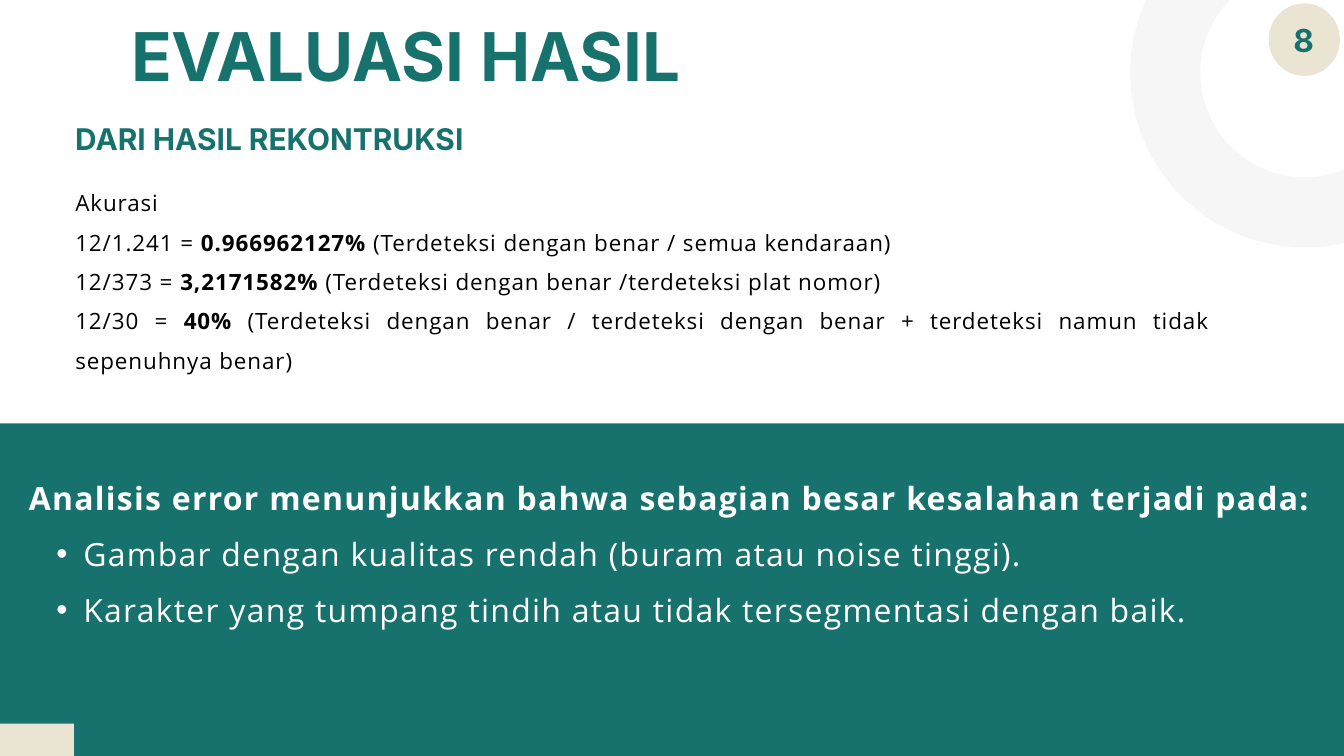
import pptx
import pptx.dml.color
import pptx.enum.shapes
import pptx.enum.text
import pptx.oxml.ns
import pptx.util
from lxml import etree

Inches = pptx.util.Inches
Pt = pptx.util.Pt
RGBColor = pptx.dml.color.RGBColor
MSO_SHAPE = pptx.enum.shapes.MSO_SHAPE
PP_ALIGN = pptx.enum.text.PP_ALIGN
MSO_ANCHOR = pptx.enum.text.MSO_ANCHOR

TEAL = RGBColor(0x17, 0x72, 0x6D)
CREAM = RGBColor(0xEA, 0xE4, 0xD2)
PALE_GREY = RGBColor(0xF6, 0xF6, 0xF6)
BLACK = RGBColor(0, 0, 0)
WHITE = RGBColor(0xFF, 0xFF, 0xFF)

HEADING_FONT = "Inter"
BODY_FONT = "Open Sans"

ACCURACY_LINES = [
    [("Akurasi", False)],
    [("12/1.241 = ", False), ("0.966962127%", True),
     (" (Terdeteksi dengan benar / semua kendaraan)", False)],
    [("12/373 = ", False), ("3,2171582% ", True),
     ("(Terdeteksi dengan benar /terdeteksi plat nomor)", False)],
    [("12/30 = ", False), ("40%", True),
     (" (Terdeteksi dengan benar / terdeteksi dengan benar + "
      "terdeteksi namun tidak sepenuhnya benar)", False)],
]
ERROR_LINES = [
    [("Analisis error menunjukkan bahwa sebagian besar kesalahan terjadi pada:", True)],
    [("Gambar dengan kualitas rendah (buram atau noise tinggi).", False)],
    [("Karakter yang tumpang tindih atau tidak tersegmentasi dengan baik.", False)],
]


def add_filled(slide, kind, left, top, width, height, color):
    filled = slide.shapes.add_shape(
        kind, Inches(left), Inches(top), Inches(width), Inches(height))
    filled.shadow.inherit = False
    filled.fill.solid()
    filled.fill.fore_color.rgb = color
    filled.line.fill.background()


def add_ring(slide, left, top, diameter, color, thickness):
    ring = slide.shapes.add_shape(
        MSO_SHAPE.OVAL, Inches(left), Inches(top), Inches(diameter), Inches(diameter))
    ring.shadow.inherit = False
    ring.fill.background()
    ring.line.color.rgb = color
    ring.line.width = Pt(thickness)


def add_text(slide, left, top, width, height, lines, font, size, color,
             line_height, align=PP_ALIGN.LEFT, spacing=0, anchor=MSO_ANCHOR.TOP):
    box = slide.shapes.add_textbox(
        Inches(left), Inches(top), Inches(width), Inches(height))
    frame = box.text_frame
    frame.word_wrap = True
    frame.vertical_anchor = anchor
    frame.margin_left = frame.margin_right = 0
    frame.margin_top = frame.margin_bottom = 0
    for index, line in enumerate(lines):
        paragraph = frame.paragraphs[0] if index == 0 else frame.add_paragraph()
        paragraph.alignment = align
        paragraph.line_spacing = Pt(line_height)
        for text, bold in line:
            run = paragraph.add_run()
            run.text = text
            run.font.name = font
            run.font.size = Pt(size)
            run.font.bold = bold
            run.font.color.rgb = color
            if spacing:
                run._r.get_or_add_rPr().set("spc", str(round(spacing * 100)))
    return frame


def add_bullet(paragraph, margin, hanging):
    paragraph.level = 1
    properties = paragraph._p.get_or_add_pPr()
    properties.set("marL", str(Inches(margin)))
    properties.set("indent", str(-Inches(hanging)))
    bullet_font = etree.SubElement(properties, pptx.oxml.ns.qn("a:buFont"))
    bullet_font.set("typeface", "Arial")
    bullet = etree.SubElement(properties, pptx.oxml.ns.qn("a:buChar"))
    bullet.set("char", "•")


def main():
    presentation = pptx.Presentation()
    presentation.slide_width = Inches(20)
    presentation.slide_height = Inches(11.25)
    slide = presentation.slides.add_slide(presentation.slide_layouts[6])

    add_filled(slide, MSO_SHAPE.RECTANGLE, -0.02, 6.3, 20.02, 4.95, TEAL)
    add_ring(slide, 17.34, -1, 4.16, PALE_GREY, 75)
    add_filled(slide, MSO_SHAPE.RECTANGLE, -0.02, 10.77, 1.12, 1.12, CREAM)

    add_text(slide, 1.95, 0.36, 16.06, 1.08, [[("EVALUASI HASIL", True)]],
             HEADING_FONT, 72, TEAL, 75.6)
    add_text(slide, 1.12, 2.63, 16.89, 2.96, ACCURACY_LINES,
             BODY_FONT, 24, BLACK, 42.2, PP_ALIGN.JUSTIFY, 1)
    add_text(slide, 1.12, 1.86, 7.04, 0.47, [[("DARI HASIL REKONTRUKSI", True)]],
             HEADING_FONT, 32, TEAL, 33.6)
    errors = add_text(slide, 0.43, 6.85, 19.13, 3.28, ERROR_LINES,
                      BODY_FONT, 34.2, WHITE, 60.3, PP_ALIGN.JUSTIFY, 1.4)
    for paragraph in errors.paragraphs[1:]:
        add_bullet(paragraph, 0.81, 0.4)

    add_filled(slide, MSO_SHAPE.OVAL, 18.88, 0.05, 1.06, 1.08, CREAM)
    add_text(slide, 18.97, 0.06, 0.86, 0.96, [[("8", True)]],
             HEADING_FONT, 34, TEAL, 47.6, PP_ALIGN.CENTER, anchor=MSO_ANCHOR.MIDDLE)

    presentation.save("out.pptx")


if __name__ == "__main__":
    main()
